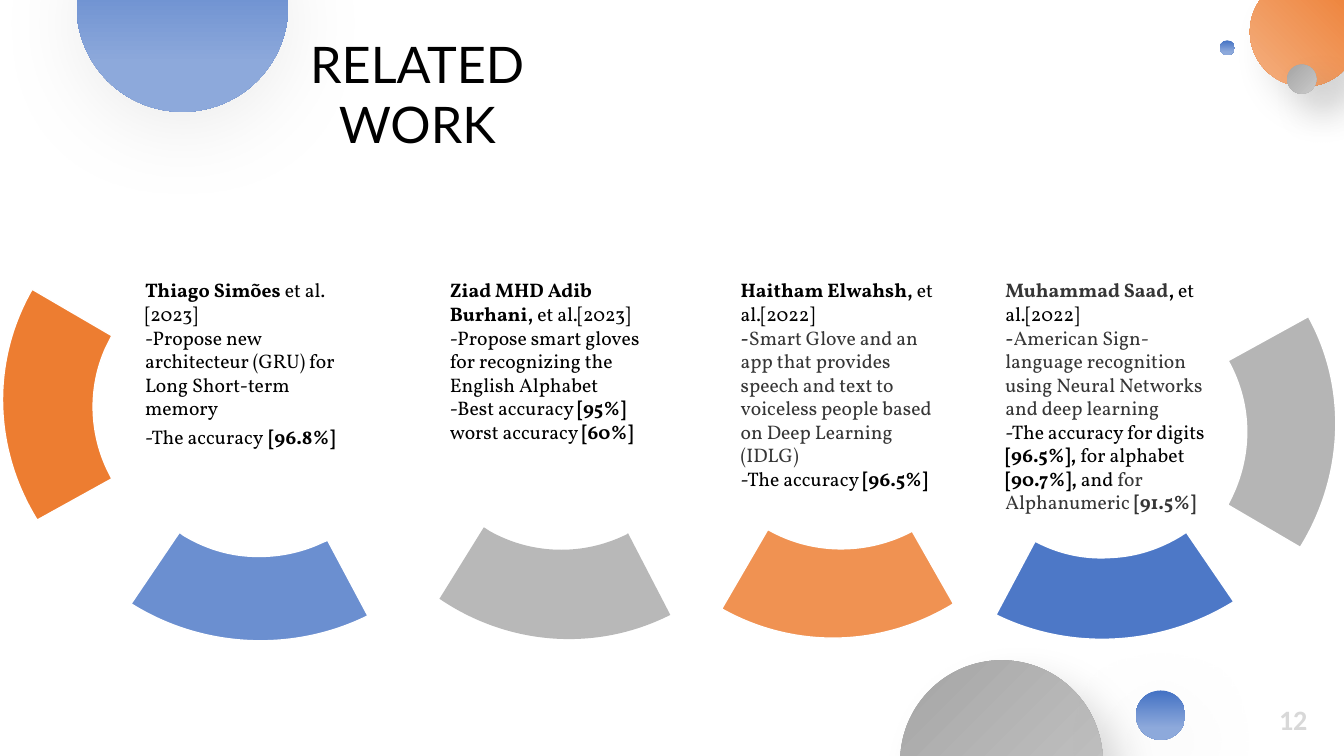
"""Builds the Related Work slide: four studies framed by arc segments and soft gradient circles."""
from lxml import etree
from pptx import Presentation
from pptx import oxml
from pptx.dml.color import RGBColor
from pptx.enum import shapes, text
from pptx.util import Pt

BLACK = RGBColor(0x00, 0x00, 0x00)
WHITE = RGBColor(0xFF, 0xFF, 0xFF)
CHARCOAL = RGBColor(0x36, 0x36, 0x36)
PAGE_GREY = RGBColor(0xD8, 0xD8, 0xD8)
BLUE = RGBColor(0x44, 0x72, 0xC4)
PALE_BLUE = RGBColor(0x8D, 0xA9, 0xDB)
ORANGE = RGBColor(0xED, 0x7D, 0x31)
PALE_ORANGE = RGBColor(0xF4, 0xB0, 0x81)
GREY = RGBColor(0xA5, 0xA5, 0xA5)
PALE_GREY = RGBColor(0xC9, 0xC9, 0xC9)
ARC_GREY = RGBColor(0xB8, 0xB8, 0xB8)
ARC_BLUE = RGBColor(0x6B, 0x8F, 0xD0)
SIDE_GREY = RGBColor(0xB5, 0xB5, 0xB5)
DEEP_BLUE = RGBColor(0x4D, 0x78, 0xC7)
SOFT_ORANGE = RGBColor(0xF0, 0x92, 0x52)

STUDY_TOP, STUDY_WIDTH = 195.3, 164.9
STUDIES = [
    (96.5, 131, [
        [("Thiago Simões ", True, BLACK), ("et al. [2023]", False, BLACK)],
        [("-Propose new architecteur (GRU) for Long Short-term memory\n-The accuracy", False, BLACK),
         (" ", False, BLACK, 18), ("[96.8%]", True, BLACK)],
    ]),
    (314.2, 126, [
        [("Ziad MHD Adib Burhani, ", True, BLACK),
         ("et al.[2023]\n-Propose smart gloves for recognizing the English Alphabet\n-Best accuracy ",
          False, BLACK),
         ("[95%]", True, BLACK), (" worst accuracy ", False, BLACK), ("[60%]", True, BLACK)],
    ]),
    (522, 159.8, [
        [("Haitham Elwahsh, ", True, BLACK), ("et al.[2022]\n-", False, BLACK),
         ("Smart Glove and an app that provides speech and text to voiceless people "
          "based on Deep Learning (IDLG)\n", False, CHARCOAL),
         ("-The accuracy ", False, BLACK), ("[96.5%]", True, BLACK)],
    ]),
    (711, 193.7, [
        [("Muhammad Saad", True, CHARCOAL), (", ", True, BLACK), ("et al.[2022]\n-", False, BLACK),
         ("American Sign-language recognition using Neural Networks and deep learning \n",
          False, CHARCOAL),
         ("-The accuracy for digits ", False, BLACK), ("[96.5%], ", True, BLACK),
         ("for alphabet ", False, BLACK), ("[90.7%], ", True, BLACK), ("and ", False, BLACK),
         ("for Alphanumeric ", False, CHARCOAL), ("[91.5%]", True, CHARCOAL)],
    ]),
]

BLUE_LOOK = dict(start=BLUE, end=PALE_BLUE, blend_end=0.77, angle=90,
                 opacity=10, blur=70, direction=90, scale=90)
GREY_LOOK = dict(start=GREY, end=PALE_GREY, blend_end=1, angle=45,
                 opacity=15, blur=28, direction=45, scale=100)
ORANGE_LOOK = dict(GREY_LOOK, start=ORANGE, end=PALE_ORANGE, angle=135)
CIRCLES = [
    (54.7, -71.3, 151.2, BLUE_LOOK),
    (643, 471.6, 144.7, GREY_LOOK),
    (811.4, 493.2, 35.3, BLUE_LOOK),
    (892.8, -16.6, 78.5, ORANGE_LOOK),
    (871.2, 28.8, 10.8, BLUE_LOOK),
    (919.4, 46.1, 20.9, GREY_LOOK),
]

ARCS = [
    (ARC_GREY, False, [
        (478.8, 439.2), (426.2, 465.8, 363.6, 461.5, 313.9, 427.7), (345.6, 376.6),
        (349.9, 379.4), (379.4, 396, 416.2, 397.4, 447.8, 381.6), (448.6, 380.9)]),
    (ARC_BLUE, True, [
        (262.8, 439.9), (208.8, 466.6, 144, 463, 93.6, 431.3), (128.2, 380.2), (131, 382.3),
        (145.4, 391, 162, 396.7, 180, 397.4), (198, 398.2, 215.3, 394.6, 230.4, 387.4),
        (234, 385.9)]),
    (ORANGE, True, [
        (79.9, 342), (26.6, 371.5), (-5, 320.4, -6.5, 257.8, 23, 206.6), (79.9, 239.8),
        (75.6, 248.4), (62.6, 277.2, 64.1, 309.6, 77, 336.2)]),
    (SIDE_GREY, True, [
        (877, 360.7), (879.1, 356.4), (894.2, 326.2, 895, 290.2, 877.7, 258.5), (877, 257.8),
        (934.6, 226.1), (962.6, 276.5, 960.5, 339.8, 928.8, 391)]),
    (DEEP_BLUE, True, [
        (711.4, 439.2), (739.4, 386.6), (743.8, 388.8), (758.9, 396, 776.2, 399.6, 794.2, 398.2),
        (812.2, 397.4, 828.7, 391.7, 843.1, 383), (847.4, 380.2), (881.3, 429.8),
        (830.2, 461.5, 765.4, 465.8, 711.4, 439.2)]),
    (SOFT_ORANGE, True, [
        (515.5, 434.9), (548.6, 378), (549.4, 378.7), (580.3, 396, 617, 396, 647.3, 381.6),
        (651.6, 379.4), (681.1, 431.3), (629.3, 463, 566.6, 463.7, 515.5, 434.9)]),
]


def add_circle(slide, left, top, size, look):
    circle = slide.shapes.add_shape(shapes.MSO_SHAPE.OVAL, Pt(left), Pt(top), Pt(size), Pt(size))
    circle.line.fill.background()
    circle.fill.gradient()
    circle.fill.gradient_angle = 360 - look["angle"]
    blend = ((look["start"], 0), (look["end"], look["blend_end"]))
    for stop, (colour, position) in zip(circle.fill.gradient_stops, blend):
        stop.color.rgb = colour
        stop.position = position
    circle.shadow.inherit = False
    effects = circle._element.spPr.find(oxml.ns.qn("a:effectLst"))
    scale = str(look["scale"] * 1000)
    shadow = etree.SubElement(effects, oxml.ns.qn("a:outerShdw"), blurRad=str(Pt(look["blur"])),
                              dist=str(Pt(20)), dir=str(look["direction"] * 60000),
                              sx=scale, sy=scale, algn="t", rotWithShape="0")
    tint = etree.SubElement(shadow, oxml.ns.qn("a:srgbClr"), val=str(BLACK))
    etree.SubElement(tint, oxml.ns.qn("a:alpha"), val=str(look["opacity"] * 1000))


def bend(arc, outline):
    segments = iter(arc._element.findall(".//" + oxml.ns.qn("a:lnTo")))
    for step in outline[1:]:
        first = next(segments)
        if len(step) == 6:
            curve = etree.Element(oxml.ns.qn("a:cubicBezTo"))
            first.addprevious(curve)
            for segment in (first, next(segments), next(segments)):
                curve.append(segment[0])
                segment.getparent().remove(segment)


def add_arc(slide, colour, outlined, outline):
    points = [(Pt(step[i]), Pt(step[i + 1])) for step in outline for i in range(0, len(step), 2)]
    builder = slide.shapes.build_freeform(*points[0])
    builder.add_line_segments(points[1:], close=True)
    arc = builder.convert_to_shape()
    bend(arc, outline)
    arc.shadow.inherit = False
    arc.fill.solid()
    arc.fill.fore_color.rgb = colour
    if outlined:
        arc.line.color.rgb = WHITE
        arc.line.width = Pt(1)
    else:
        arc.line.fill.background()


def add_words(slide, box, paragraphs, font, size, align=text.PP_ALIGN.LEFT):
    frame = slide.shapes.add_textbox(*map(Pt, box)).text_frame
    frame.word_wrap = True
    frame.auto_size = text.MSO_AUTO_SIZE.SHAPE_TO_FIT_TEXT
    for i, pieces in enumerate(paragraphs):
        paragraph = frame.add_paragraph() if i else frame.paragraphs[0]
        paragraph.alignment = align
        paragraph.font.name = font
        paragraph.font.size = Pt(size)
        for words, bold, colour, *own_size in pieces:
            for j, line in enumerate(words.split("\n")):
                if j:
                    paragraph.add_line_break()
                if line:
                    run = paragraph.add_run()
                    run.text = line
                    run.font.bold = bold
                    run.font.color.rgb = colour
                    if own_size:
                        run.font.size = Pt(own_size[0])
    return frame


def main():
    deck = Presentation()
    deck.slide_width, deck.slide_height = Pt(960), Pt(540)
    slide = deck.slides.add_slide(deck.slide_layouts[6])
    number = add_words(slide, (778.3, 502.6, 162.7, 26.6), [[("12", True, PAGE_GREY)]],
                       "Calibri", 20, text.PP_ALIGN.RIGHT)
    number.vertical_anchor = text.MSO_ANCHOR.MIDDLE
    number.paragraphs[0].line_spacing = 0.8
    for circle in CIRCLES:
        add_circle(slide, *circle)
    for arc in ARCS:
        add_arc(slide, *arc)
    add_words(slide, (172.1, 20, 252, 51.1), [[("RELATED WORK", False, BLACK)]],
              "Lato", 36, text.PP_ALIGN.CENTER)
    for left, height, paragraphs in STUDIES:
        add_words(slide, (left, STUDY_TOP, STUDY_WIDTH, height), paragraphs, "Vollkorn", 14)
    deck.save("out.pptx")


if __name__ == "__main__":
    main()
